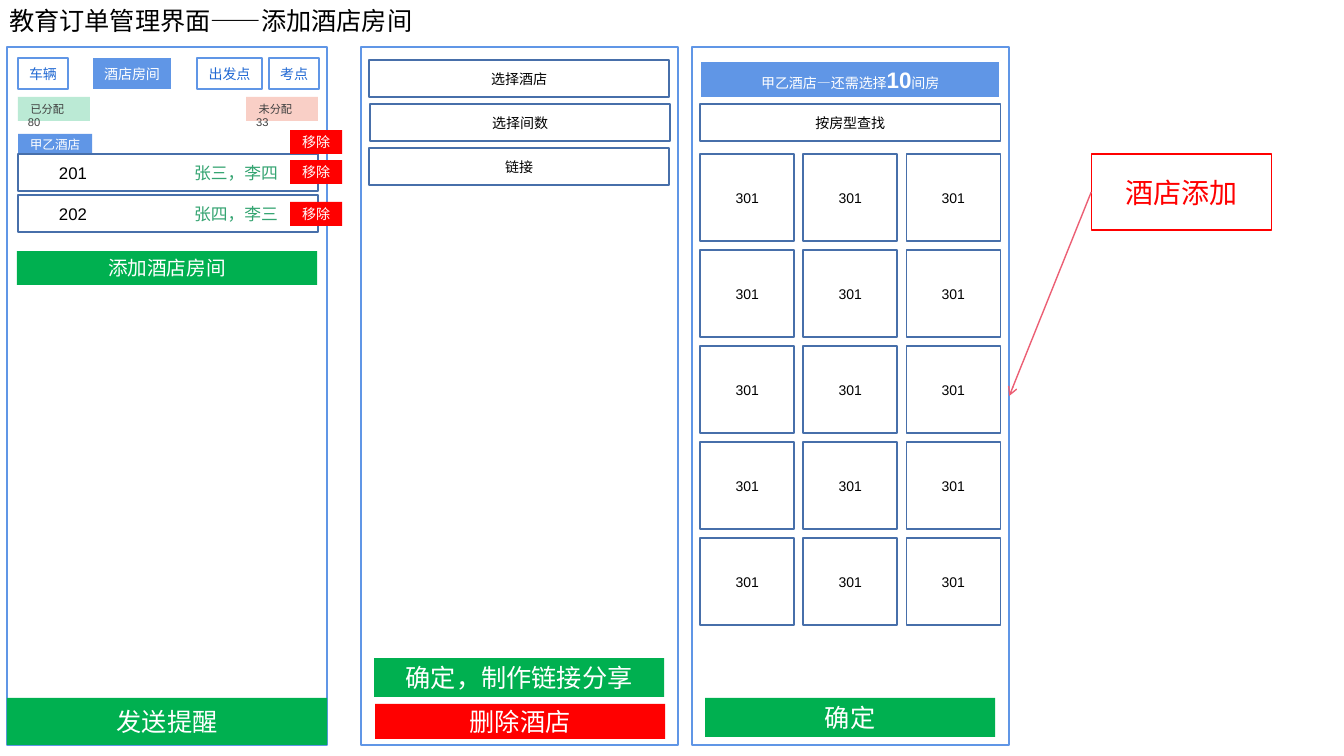
import pptx
import pptx.util
import pptx.dml.color
import pptx.enum.text
import pptx.enum.shapes
import pptx.oxml.ns
from lxml import etree

SCALE = 914400 / 100.8
BLUE, NAVY, GREEN, RED = "6096E6", "476FAA", "00B050", "FF0000"
WHITE, BLACK, LINK = "FFFFFF", "000000", "2169D3"
ALIGN = pptx.enum.text.PP_ALIGN
ANCHOR = pptx.enum.text.MSO_ANCHOR

deck = pptx.Presentation()
deck.slide_width = pptx.util.Inches(13.33)
deck.slide_height = pptx.util.Inches(7.5)
slide = deck.slides.add_slide(deck.slide_layouts[6])


def px(*sizes):
    return [round(size * SCALE) for size in sizes]


def color(code):
    return pptx.dml.color.RGBColor.from_string(code)


def write(shape, text, size=10, ink=BLACK, align=ALIGN.CENTER,
          anchor=ANCHOR.MIDDLE, inset=0, wrap=True):
    """Text is one string or a list of (text, size, ink, bold) runs."""
    frame = shape.text_frame
    frame.word_wrap = wrap
    frame.vertical_anchor = anchor
    frame.margin_left, frame.margin_right = px(inset, 0)
    para = frame.paragraphs[0]
    para.alignment = align
    runs = [(text, size, ink, False)] if isinstance(text, str) else text
    for words, points, tint, bold in runs:
        for i, line in enumerate(words.split("\n")):
            if i:
                para.add_line_break()
            run = para.add_run()
            run.text = line
            run.font.name = "Arial"
            run.font.size = pptx.util.Pt(points)
            run.font.bold = bold
            run.font.color.rgb = color(tint)
    return para


def box(place, fill=None, line=None, width=1):
    shape = slide.shapes.add_shape(
        pptx.enum.shapes.MSO_SHAPE.RECTANGLE, *px(*place))
    shape.shadow.inherit = False
    if fill:
        shape.fill.solid()
        shape.fill.fore_color.rgb = color(fill)
    else:
        shape.fill.background()
    if line:
        shape.line.color.rgb = color(line)
        shape.line.width = pptx.util.Pt(width)
    else:
        shape.line.fill.background()
    return shape


# Title
title = slide.shapes.add_textbox(*px(0, 0, 423, 40))
write(title, "教育订单管理界面——添加酒店房间", size=18, align=ALIGN.LEFT,
      anchor=ANCHOR.TOP, inset=9, wrap=False)

# Three phone screens
for left, wide in [(7, 320), (361, 317), (692, 317)]:
    box((left, 47, wide, 698), WHITE, BLUE)

# Tabs of the first screen
for name, left, wide, fill, line, ink in [
        ("车辆", 18, 50, None, BLUE, LINK),
        ("酒店房间", 93, 78, BLUE, None, WHITE),
        ("出发点", 197, 65, WHITE, BLUE, LINK),
        ("考点", 269, 50, WHITE, BLUE, LINK)]:
    write(box((left, 58, wide, 31), fill, line), name, ink=ink)

# Counts and hotel name
for text, left, fill in [(" 已分配\n80", 18, "BBEAD5"),
                         (" 未分配\n33", 246, "F9CFC6")]:
    write(box((left, 97, 72, 24), fill), text, size=8, ink="404040",
          align=ALIGN.LEFT, anchor=ANCHOR.TOP, inset=10)
write(box((18, 134, 74, 20), BLUE), "甲乙酒店", size=9, ink=WHITE)

# Rooms with their guests, set apart by a tab stop
for room, guests, top in [("201", "张三，李四", 154),
                          ("202", "张四，李三", 195)]:
    para = write(box((18, top, 300, 37), line=NAVY),
                 [(room + "\t", 12, BLACK, False),
                  (guests, 12, "34A471", False)],
                 align=ALIGN.LEFT, inset=41)
    stops = etree.SubElement(para._p.get_or_add_pPr(),
                             pptx.oxml.ns.qn("a:tabLst"))
    etree.SubElement(stops, pptx.oxml.ns.qn("a:tab"),
                     pos=str(px(135)[0]), algn="l")

# Remove tags
for top in (130, 160, 202):
    write(box((290, top, 52, 24), RED), "移除", ink=WHITE)

# Fields
for text, left, top in [("选择酒店", 369, 60), ("选择间数", 370, 104),
                        ("链接", 369, 148), ("按房型查找", 700, 104)]:
    write(box((left, top, 300, 37), line=NAVY), text)

# Rooms still to choose
write(box((700, 61, 300, 37), BLUE, WHITE, 1.5),
      [("甲乙酒店—还需选择", 10, WHITE, False),
       ("10", 16, WHITE, True), ("间房", 10, WHITE, False)])

# Grid of rooms
for row in range(5):
    for col in range(3):
        place = (700 + 103 * col, 154 + 96 * row, 94, 87)
        write(box(place, line=NAVY), "301")

# Buttons
for text, place, fill, size in [
        ("添加酒店房间", (17, 251, 300, 34), GREEN, 14),
        ("发送提醒", (7, 698, 320, 47), GREEN, 18),
        ("确定，制作链接分享", (374, 658, 290, 39), GREEN, 18),
        ("删除酒店", (375, 704, 290, 35), RED, 18),
        ("确定", (705, 698, 290, 39), GREEN, 18)]:
    write(box(place, fill), text, size=size, ink=WHITE)

# Callout and arrow
write(box((1091, 154, 180, 76), line=RED), "酒店添加", size=20, ink=RED)
arrow = slide.shapes.add_connector(
    pptx.enum.shapes.MSO_CONNECTOR.STRAIGHT, *px(1091, 192, 1009, 396))
arrow.line.color.rgb = color("EC5F74")
arrow.line.width = pptx.util.Pt(1)
etree.SubElement(arrow.line._get_or_add_ln(),
                 pptx.oxml.ns.qn("a:tailEnd"), type="arrow")
etree.SubElement(arrow._element.spPr, pptx.oxml.ns.qn("a:effectLst"))

deck.save("out.pptx")
